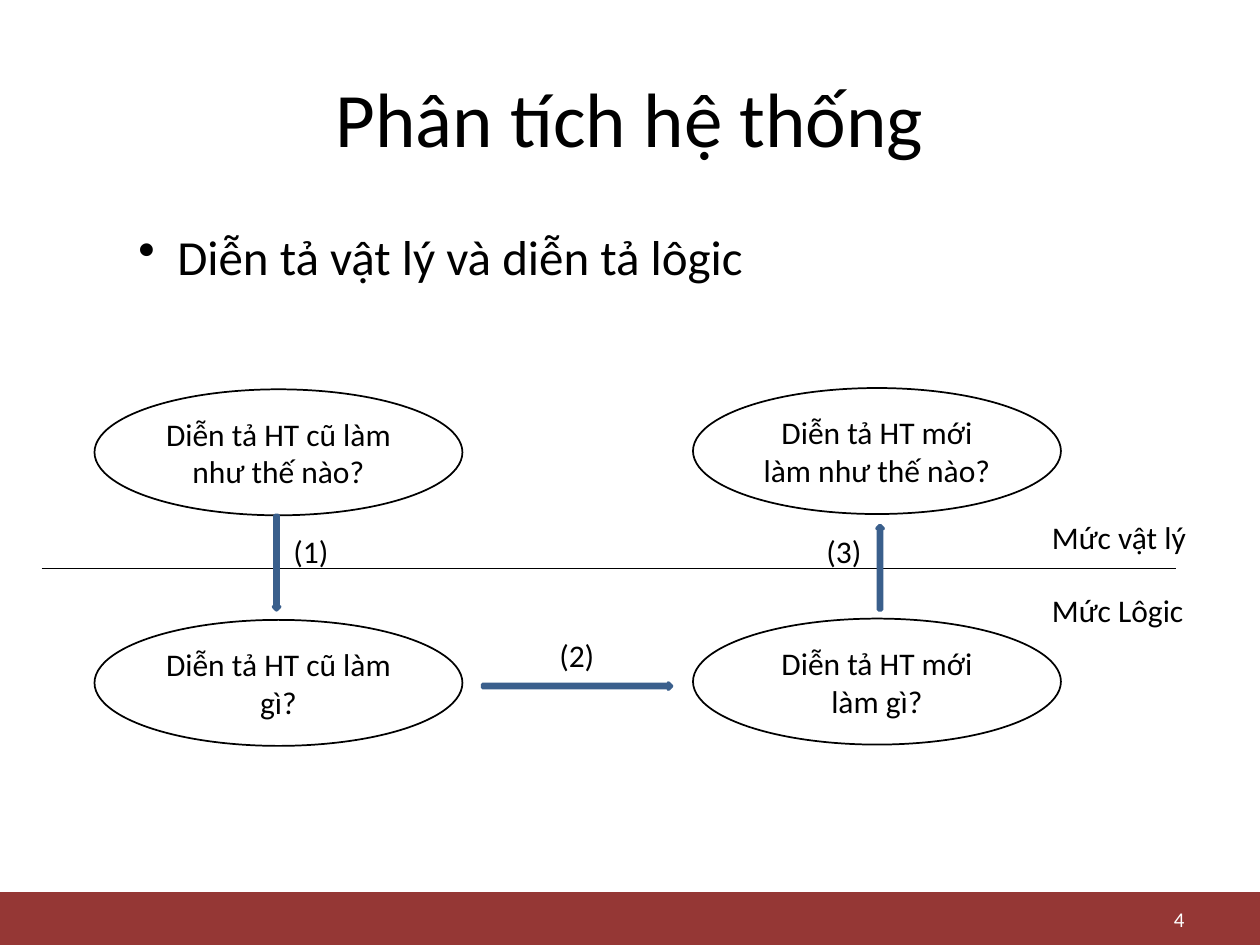
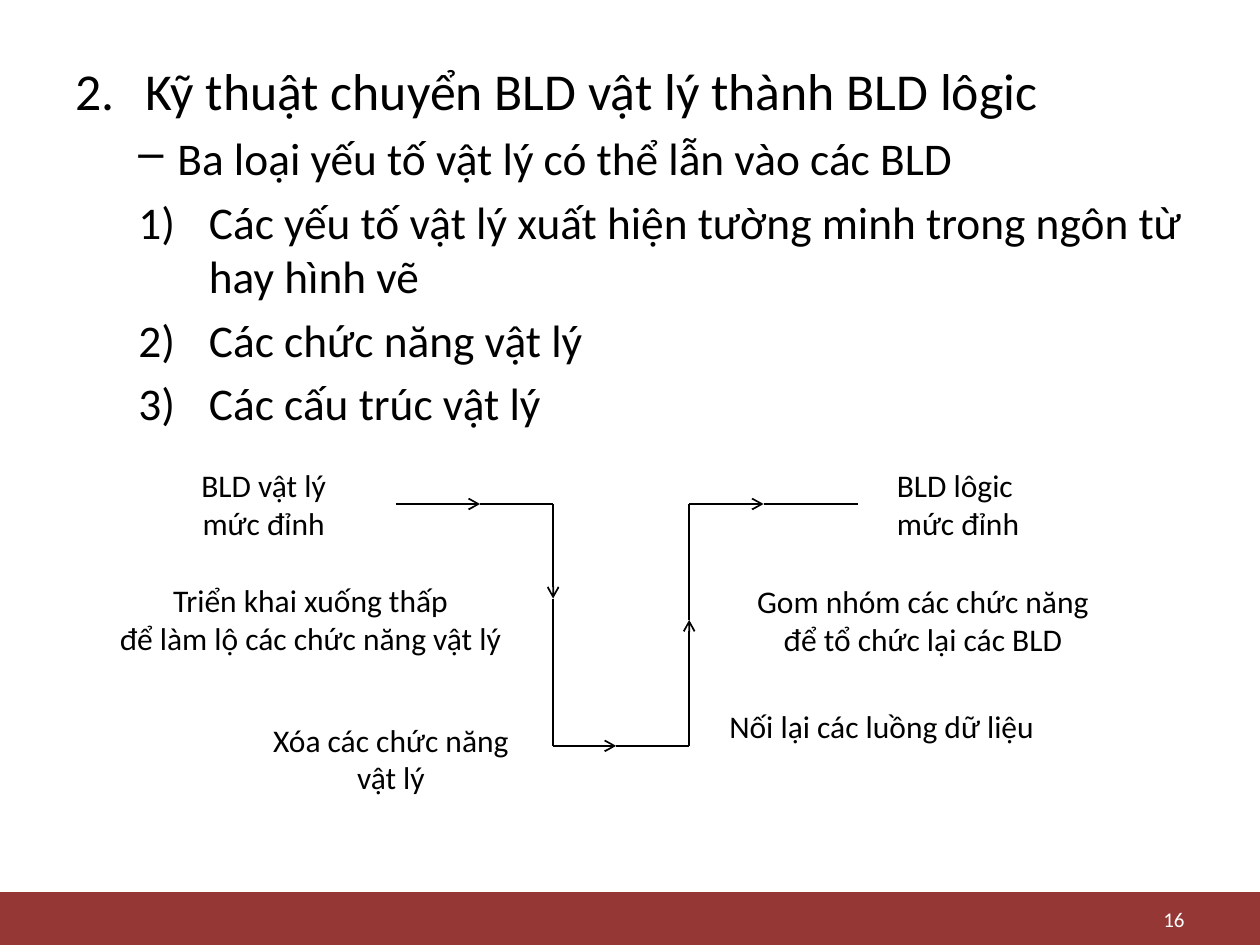
"""Build two slides on physical and logical system descriptions."""
from itertools import pairwise

from lxml import etree
from pptx import Presentation
from pptx.dml.color import RGBColor
from pptx.enum.shapes import MSO_CONNECTOR, MSO_SHAPE
from pptx.enum.text import MSO_ANCHOR, PP_ALIGN
from pptx.oxml.ns import qn
from pptx.util import Inches, Pt

LEFT, CENTER, RIGHT = PP_ALIGN.LEFT, PP_ALIGN.CENTER, PP_ALIGN.RIGHT
TOP, MIDDLE = MSO_ANCHOR.TOP, MSO_ANCHOR.MIDDLE
RECT, OVAL = MSO_SHAPE.RECTANGLE, MSO_SHAPE.OVAL
DOWN, ACROSS, UP = MSO_SHAPE.DOWN_ARROW, MSO_SHAPE.RIGHT_ARROW, MSO_SHAPE.UP_ARROW
STRAIGHT = MSO_CONNECTOR.STRAIGHT

COLORS = {name: RGBColor.from_string(value) for name, value in {
    "text": "000000", "band": "953735", "number": "FFFFFF",
    "arrow": "4F81BD", "arrow_edge": "3A5F8C"}.items()}
FONT = "Calibri"


def write(sp, lines, size=18, color="text", first=LEFT, rest=CENTER, anchor=TOP, wrap=True):
    tf = sp.text_frame
    tf.word_wrap = wrap
    tf.vertical_anchor = anchor
    for i, line in enumerate(lines):
        p = tf.paragraphs[0] if i == 0 else tf.add_paragraph()
        p.add_run().text = line
        p.alignment = first if i == 0 else rest
        p.font.name = FONT
        p.font.size = Pt(size)
        p.font.color.rgb = COLORS[color]
    return tf


def add_line(s, start, end, width, arrow=False):
    sp = s.shapes.add_connector(STRAIGHT, *map(Inches, start + end))
    sp.line.color.rgb = COLORS["text"]
    sp.line.width = Pt(width)
    if arrow:
        etree.SubElement(sp.line._get_or_add_ln(), qn("a:tailEnd"), type="arrow")
    etree.SubElement(sp._element.spPr, qn("a:effectLst"))


prs = Presentation()
prs.slide_width, prs.slide_height = Inches(10), Inches(7.5)

slides = []
for number in ("4", "16"):
    s = prs.slides.add_slide(prs.slide_layouts[6])
    band = s.shapes.add_shape(RECT, 0, Inches(7.08), prs.slide_width, Inches(0.42))
    band.shadow.inherit = False
    band.fill.solid()
    band.fill.fore_color.rgb = COLORS["band"]
    band.line.fill.background()
    sp = s.shapes.add_textbox(*map(Inches, (7.17, 7.17, 2.33, 0.25)))
    write(sp, [number], 12, "number", RIGHT, anchor=MIDDLE)
    slides.append(s)
levels, conversion = slides

title = levels.shapes.add_textbox(*map(Inches, (0.5, 0.3, 9, 1.25)))
write(title, ["Phân tích hệ thống"], 44, first=CENTER, anchor=MIDDLE)

dash = ("buChar", {"char": "–"})
step = ("buAutoNum", {"type": "arabicParenR"})
bodies = [
    (levels, 1.75, 1.33, [
        ("Diễn tả vật lý và diễn tả lôgic", 28, 0.81, -0.31, ("buChar", {"char": "•"}))]),
    (conversion, 0.42, 2.75, [
        ("Kỹ thuật chuyển BLD vật lý thành BLD lôgic", 29.6, 0.56, -0.56,
         ("buAutoNum", {"type": "arabicPeriod", "startAt": "2"})),
        ("Ba loại yếu tố vật lý có thể lẫn vào các BLD", 25.9, 0.81, -0.31, dash),
        ("Các yếu tố vật lý xuất hiện tường minh trong ngôn từ hay hình vẽ",
         25.9, 1.06, -0.56, step),
        ("Các chức năng vật lý", 25.9, 1.06, -0.56, step),
        ("Các cấu trúc vật lý", 25.9, 1.06, -0.56, step)]),
]
for s, y, h, items in bodies:
    sp = s.shapes.add_textbox(*map(Inches, (0.5, y, 9, h)))
    tf = write(sp, [item[0] for item in items], rest=LEFT)
    for p, (_, size, margin, indent, (tag, attributes)) in zip(tf.paragraphs, items):
        p.font.size = Pt(size)
        p.space_before = Pt(size * 0.2)
        pPr = p._p.get_or_add_pPr()
        pPr.set("marL", str(Inches(margin)))
        pPr.set("indent", str(Inches(indent)))
        bullet = etree.Element(qn("a:" + tag), attributes)
        pPr.find(qn("a:defRPr")).addprevious(bullet)

for x, y, text in [
    (0.75, 3.09, "Diễn tả HT cũ làm như thế nào?"),
    (0.75, 4.92, "Diễn tả HT cũ làm gì?"),
    (5.5, 4.91, "Diễn tả HT mới làm gì?"),
    (5.5, 3.08, "Diễn tả HT mới làm như thế nào?"),
]:
    sp = levels.shapes.add_shape(OVAL, *map(Inches, (x, y, 2.92, 1)))
    sp.shadow.inherit = False
    sp.fill.background()
    sp.line.color.rgb = COLORS["text"]
    sp.line.width = Pt(1)
    write(sp, [text], first=CENTER, anchor=MIDDLE)

add_line(levels, (0.33, 4.51), (9.33, 4.51), 0.75)

for kind, *box in [
    (DOWN, 2.17, 4.09, 0.05, 0.75),
    (ACROSS, 3.83, 5.42, 1.5, 0.05),
    (UP, 6.96, 4.17, 0.05, 0.67),
]:
    sp = levels.shapes.add_shape(kind, *map(Inches, box))
    sp.shadow.inherit = False
    sp.fill.solid()
    sp.fill.fore_color.rgb = COLORS["arrow"]
    sp.line.color.rgb = COLORS["arrow_edge"]
    sp.line.width = Pt(2)

route = [(3.14, 4), (3.81, 4), (4.39, 4), (4.39, 4.75), (4.39, 5.92), (4.89, 5.92),
         (5.47, 5.92), (5.47, 4.92), (5.47, 4), (6.06, 4), (6.81, 4)]
arrow_ends = {(3.81, 4), (4.39, 4.75), (4.89, 5.92), (5.47, 4.92), (6.06, 4)}
for start, end in pairwise(route):
    add_line(conversion, start, end, 1, end in arrow_ends)

for s, x, y, w, first, lines in [
    (levels, 2.23, 4.17, 0.48, LEFT, ["(1)"]),
    (levels, 4.34, 5, 0.48, LEFT, ["(2)"]),
    (levels, 6.46, 4.17, 0.48, LEFT, ["(3)"]),
    (levels, 8.25, 4.06, 1.5, LEFT, ["Mức vật lý"]),
    (levels, 8.25, 4.64, 1.5, LEFT, ["Mức Lôgic"]),
    (conversion, 1.5, 3.65, 1.2, LEFT, ["BLD vật lý", "mức đỉnh"]),
    (conversion, 0.83, 4.56, 3.27, CENTER,
     ["Triển khai xuống thấp", "để làm lộ các chức năng vật lý"]),
    (conversion, 2.07, 5.67, 2.1, LEFT, ["Xóa các chức năng", "vật lý"]),
    (conversion, 5.69, 5.56, 2.65, LEFT, ["Nối lại các luồng dữ liệu"]),
    (conversion, 5.89, 4.57, 2.87, CENTER,
     ["Gom nhóm các chức năng", "để tổ chức lại các BLD"]),
    (conversion, 7.02, 3.65, 1.2, LEFT, ["BLD lôgic", "mức đỉnh"]),
]:
    h = 0.4 if len(lines) == 1 else 0.71
    sp = s.shapes.add_textbox(*map(Inches, (x, y, w, h)))
    write(sp, lines, first=first, wrap=w == 1.5)

prs.save("out.pptx")
